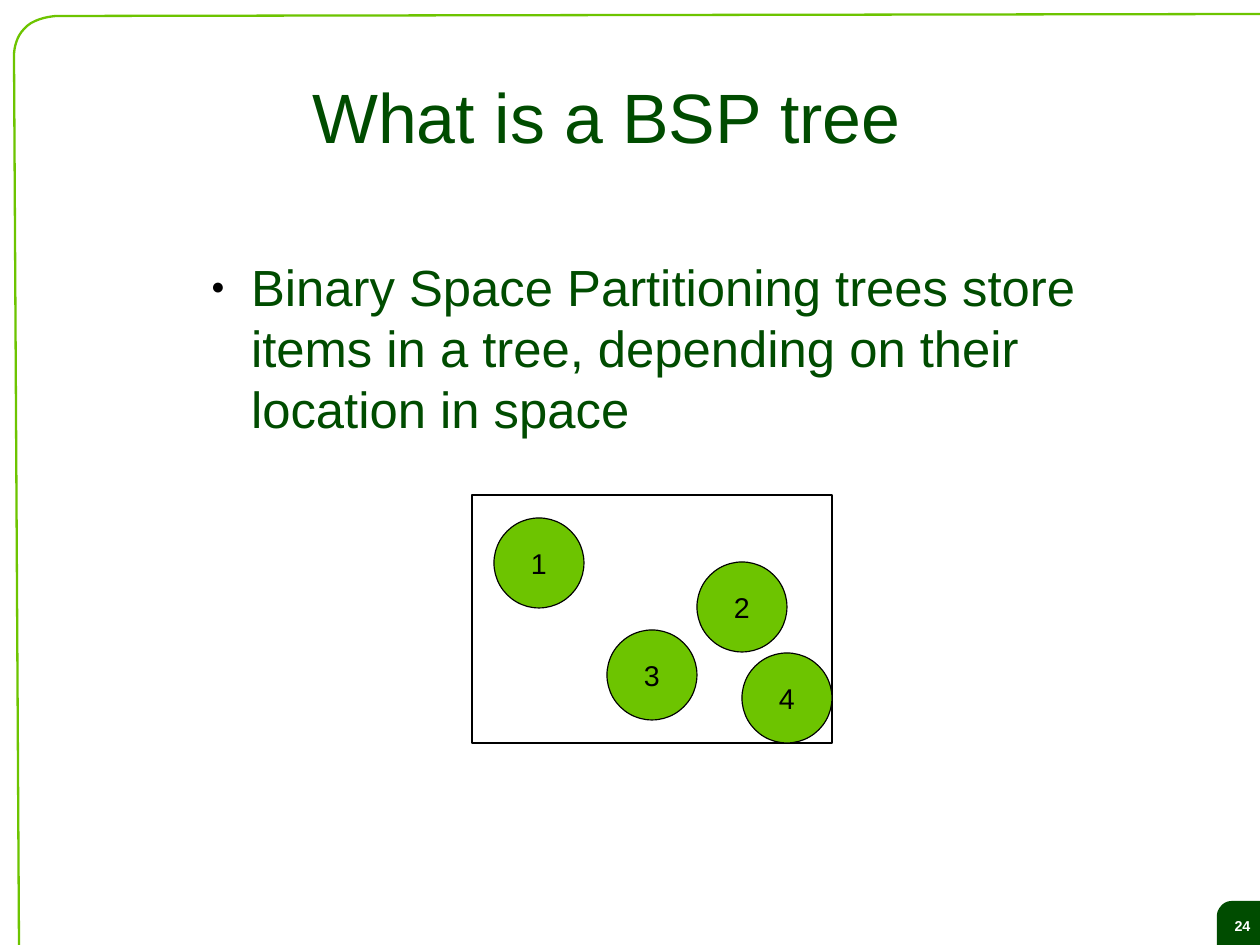
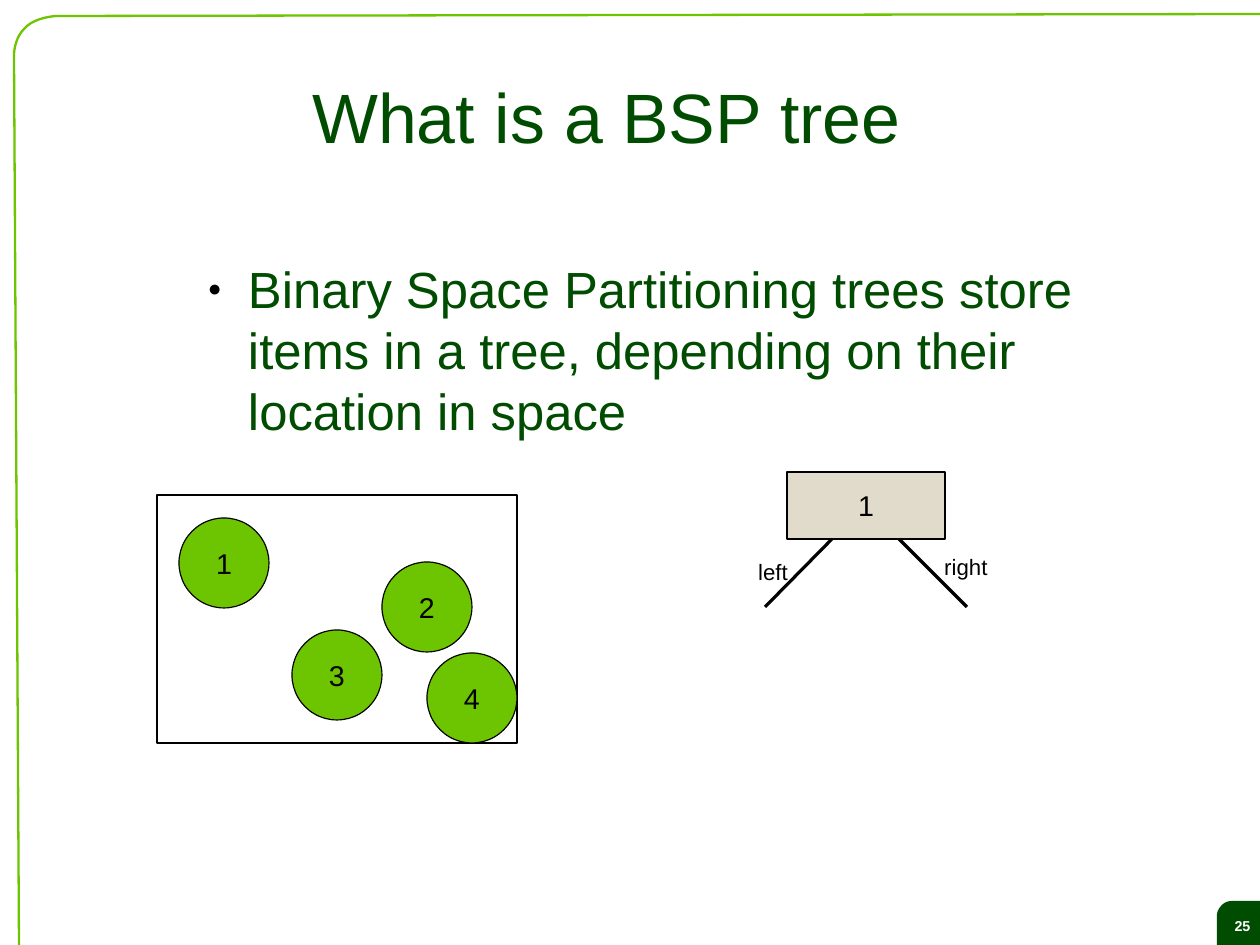
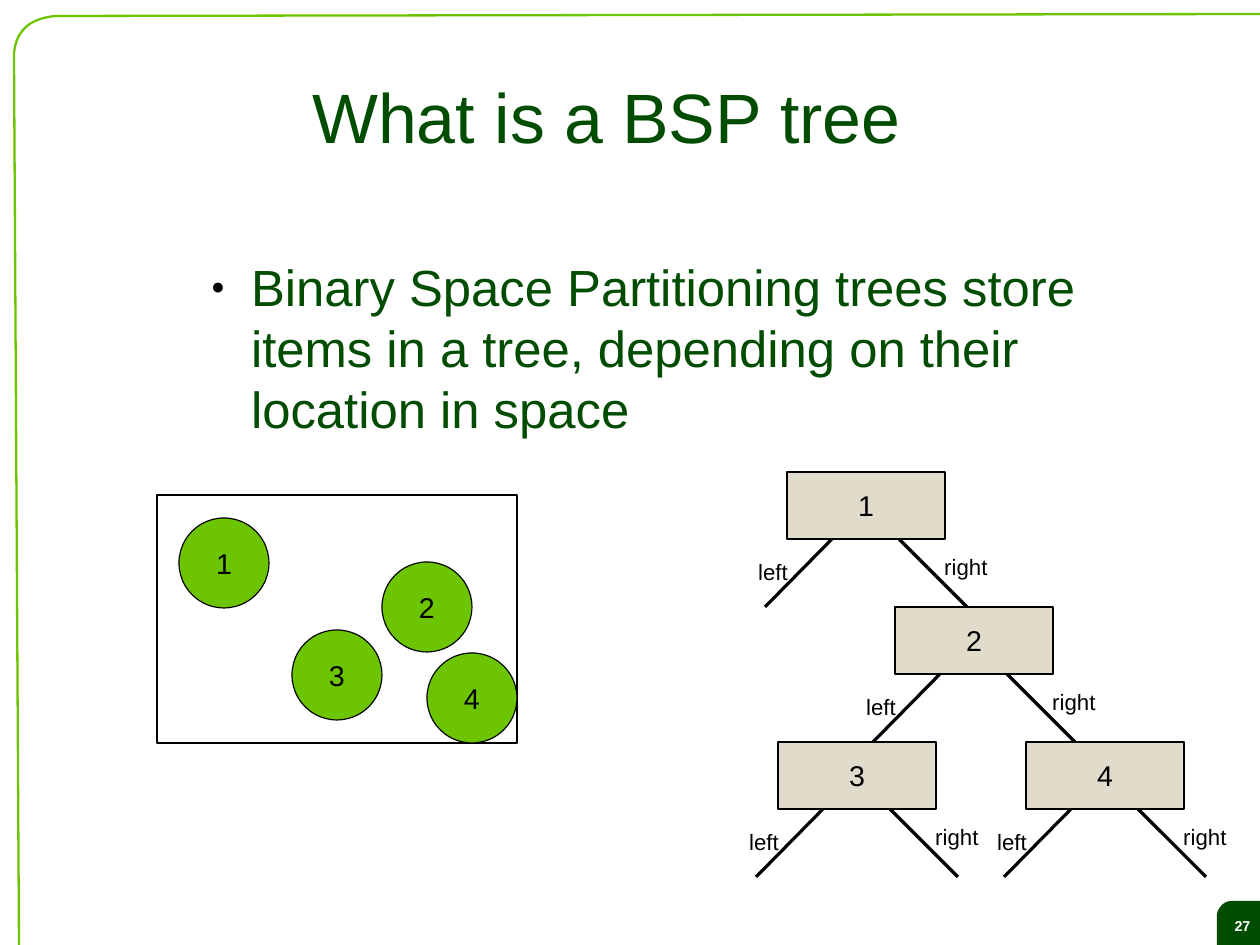
from pptx import Presentation
from pptx import util as u
from pptx.dml.color import RGBColor
from pptx.enum import shapes, text
from pptx.oxml.ns import qn
from lxml import etree

EMU_PER_PX = 8000
WIDTH, HEIGHT = 1260, 945
DARK = RGBColor(0x00, 0x4C, 0x00)
GREEN = RGBColor(0x6D, 0xC4, 0x00)
BEIGE = RGBColor(0xE0, 0xDB, 0xCA)
BLACK = RGBColor(0, 0, 0)
WHITE = RGBColor(255, 255, 255)
FONT = "Arial"

TITLE = "What is a BSP tree"
BODY = ("Binary Space Partitioning trees store items in a tree, "
        "depending on their location in space")
ITEMS = [("1", 22, 23), ("2", 225, 67), ("3", 135, 135), ("4", 270, 158)]
NODES = [("1", 787, 0), ("2", 895, 1), ("3", 778, 2), ("4", 1026, 2)]
TREE_TOP, LEVEL, NODE_W, NODE_H = 472, 135, 158, 67


def px(*values):
    return [int(v * EMU_PER_PX) for v in values]


def bezier(a, b, c, d, steps=10):
    points = []
    for i in range(steps + 1):
        t = i / steps
        k = 1 - t
        points.append(tuple(
            k**3 * a[j] + 3 * k * k * t * b[j] + 3 * k * t * t * c[j] + t**3 * d[j]
            for j in (0, 1)))
    return points


FRAME = [(WIDTH, 14),
         *bezier((57, 16), (56, 16), (34, 17), (24, 29)),
         *bezier((24, 29), (14, 39), (14, 55), (14, 55)),
         (19, HEIGHT)]
TAB = [(1268, 901),
       *bezier((1234, 901), (1230, 901), (1226, 901), (1222, 905)),
       *bezier((1222, 905), (1217, 910), (1217, 914), (1217, 916)),
       (1217, 950), (1268, 950)]


class Deck:
    def __init__(self):
        self.prs = Presentation()
        self.prs.slide_width, self.prs.slide_height = px(WIDTH, HEIGHT)

    def slide(self, number, body_at):
        self.s = self.prs.slides.add_slide(self.prs.slide_layouts[6])
        tab = self.outline(TAB, fill=DARK)
        self.label(tab.text_frame, str(number), 9, WHITE, center=True, bold=True)
        self.outline(FRAME, line=GREEN)
        self.textbox(self.s.shapes, (197, 43, 820, 146), TITLE, 44, DARK,
                     center=True, margin=0)
        self.bullet(*body_at)

    def label(self, tf, words, size, color, center=False, bold=False):
        tf.text = words
        p = tf.paragraphs[0]
        p.alignment = text.PP_ALIGN.CENTER if center else text.PP_ALIGN.LEFT
        tf.vertical_anchor = (text.MSO_ANCHOR.MIDDLE if center
                              else text.MSO_ANCHOR.TOP)
        font = p.runs[0].font
        font.name, font.size, font.bold = FONT, u.Pt(size), bold
        font.color.rgb = color
        return p

    def paint(self, shape, fill=None, line=None, width=0):
        shape.shadow.inherit = False
        if fill is None:
            shape.fill.background()
        else:
            shape.fill.solid()
            shape.fill.fore_color.rgb = fill
        if line is None:
            shape.line.fill.background()
        else:
            shape.line.color.rgb = line
            shape.line.width = u.Pt(width)

    def outline(self, points, fill=None, line=None):
        start, *rest = [px(*point) for point in points]
        builder = self.s.shapes.build_freeform(*start)
        builder.add_line_segments(rest, close=line is None)
        sp = builder.convert_to_shape()
        self.paint(sp, fill, line, 1.45)
        return sp

    def textbox(self, parent, box, words, size, color, center=False,
                margin=None, wrap=True):
        tf = parent.add_textbox(*px(*box)).text_frame
        tf.word_wrap = wrap
        if margin is not None:
            tf.margin_left = tf.margin_right = margin
            tf.margin_top = tf.margin_bottom = margin
        return self.label(tf, words, size, color, center)

    def bullet(self, left, top):
        p = self.textbox(self.s.shapes, (left, top, 1005, 620), BODY, 32, DARK,
                         margin=0)
        p.space_after = u.Pt(14.2)
        pPr = p._p.get_or_add_pPr()
        margin, indent = px(54, -40)
        pPr.set("marL", str(margin))
        pPr.set("indent", str(indent))
        color = etree.SubElement(pPr, qn("a:buClr"))
        etree.SubElement(color, qn("a:srgbClr"), val=str(BLACK))
        etree.SubElement(pPr, qn("a:buSzPct"), val="45000")
        etree.SubElement(pPr, qn("a:buFont"), typeface=FONT)
        etree.SubElement(pPr, qn("a:buChar"), char="●")

    def shape(self, parent, kind, box, fill=None, words=None):
        sp = parent.add_shape(kind, *px(*box))
        self.paint(sp, fill, BLACK)
        if words:
            self.label(sp.text_frame, words, 18, BLACK, center=True)

    def line(self, parent, *ends):
        cx = parent.add_connector(shapes.MSO_CONNECTOR.STRAIGHT, *px(*ends))
        cx.line.color.rgb = BLACK
        cx.line.width = u.Pt(0)
        etree.SubElement(cx._element.spPr, qn("a:effectLst"))

    def space(self, left, top=495):
        group = self.s.shapes.add_group_shape().shapes
        self.shape(group, shapes.MSO_SHAPE.RECTANGLE, (left, top, 360, 248))
        for name, dx, dy in ITEMS:
            self.shape(group, shapes.MSO_SHAPE.OVAL,
                       (left + dx, top + dy, 90, 90), GREEN, name)

    def node(self, name, left, level):
        top = TREE_TOP + level * LEVEL
        bottom, end = top + NODE_H, top + LEVEL
        group = self.s.shapes.add_group_shape().shapes
        self.shape(group, shapes.MSO_SHAPE.RECTANGLE,
                   (left, top, NODE_W, NODE_H), BEIGE, name)
        self.line(group, left + 45, bottom, left - 22, end)
        self.line(group, left + 112, bottom, left + 180, end)
        for word, dx, dy, width in (("left", -40, 81, 53), ("right", 146, 76, 66)):
            self.textbox(group, (left + dx, top + dy, width, 37), word, 14,
                         BLACK, wrap=False)


def main():
    deck = Deck()
    for number, count, body_at, space_left in ((24, 0, (197, 256), 472),
                                               (25, 1, (194, 258), 157),
                                               (27, 4, (197, 256), 157)):
        deck.slide(number, body_at)
        for node in NODES[:count]:
            deck.node(*node)
        deck.space(space_left)
    deck.prs.save("out.pptx")


if __name__ == "__main__":
    main()
